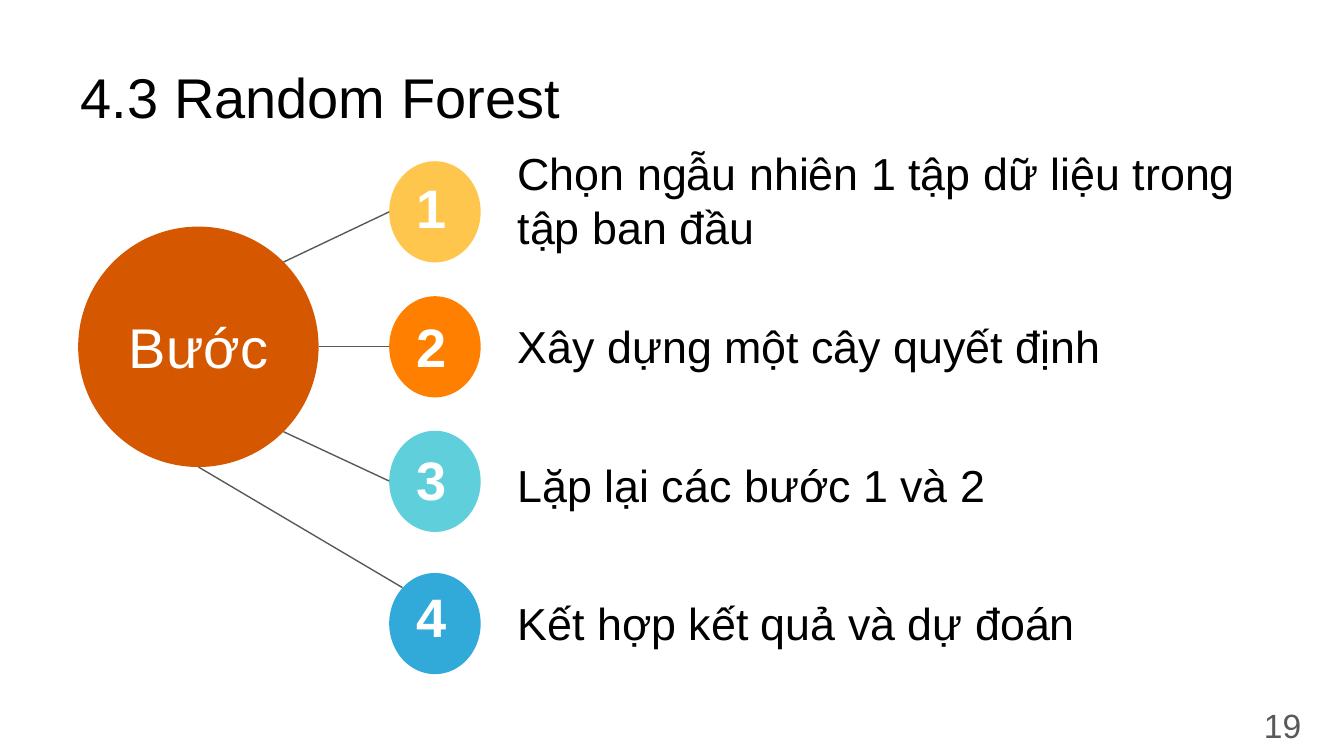
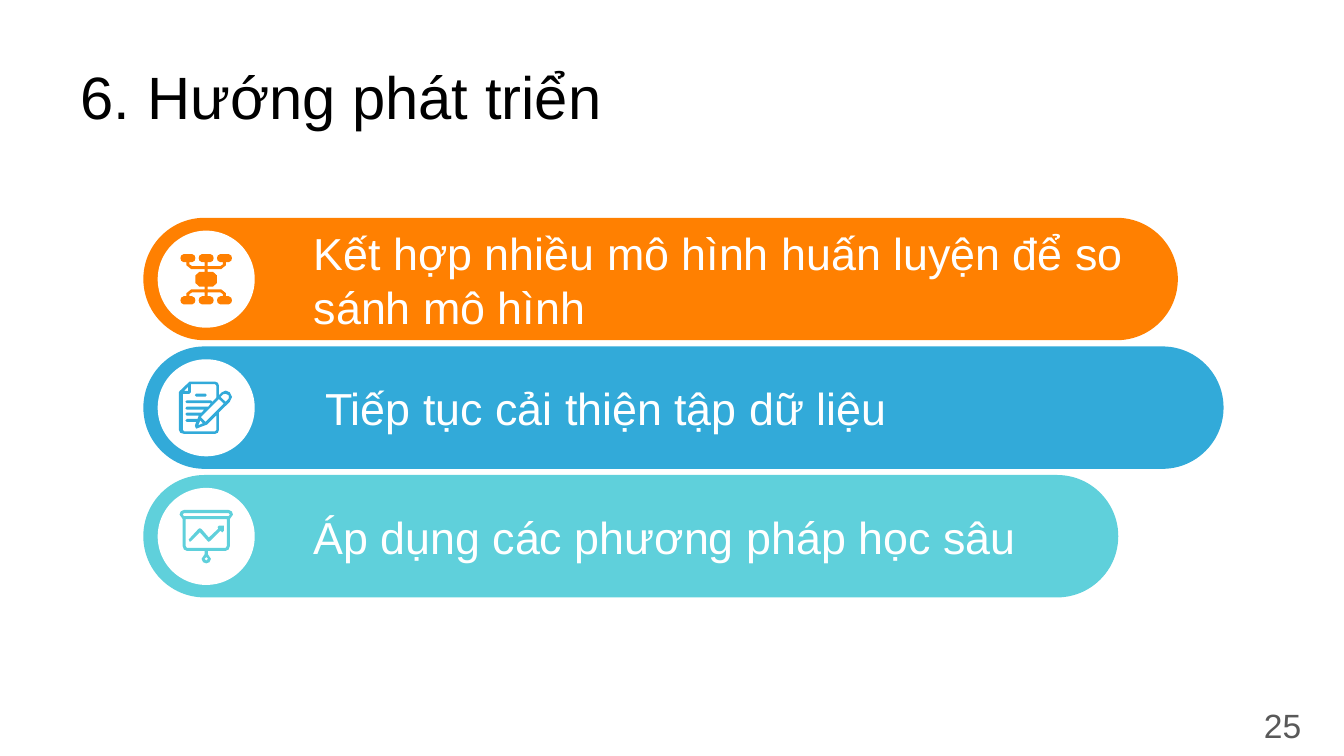
import pptx
import pptx.util
import pptx.dml.color
import pptx.enum.shapes
import pptx.enum.text
import pptx.oxml.ns
import lxml.etree

Pt = pptx.util.Pt
RGB = pptx.dml.color.RGBColor.from_string
KIND = pptx.enum.shapes.MSO_SHAPE
STRAIGHT = pptx.enum.shapes.MSO_CONNECTOR.STRAIGHT
ALIGN = pptx.enum.text.PP_ALIGN
ANCHOR = pptx.enum.text.MSO_ANCHOR

COLORS = {
    "black": "000000",
    "white": "FFFFFF",
    "gray": "595959",
    "rust": "D55800",
    "yellow": "FFC64E",
    "orange": "FF8001",
    "teal": "5FD0DB",
    "blue": "32AAD9",
}


def add_label(page, frame, text, size, color, bold=False,
              align=ALIGN.LEFT, anchor=ANCHOR.MIDDLE):
    box = page.shapes.add_textbox(*map(Pt, frame))
    body = box.text_frame
    body.word_wrap = True
    body.vertical_anchor = anchor
    body.margin_left = body.margin_right = Pt(7.2)
    body.margin_top = body.margin_bottom = Pt(7.2)
    para = body.paragraphs[0]
    para.alignment = align
    span = para.add_run()
    span.text = text
    span.font.name = "Arial"
    span.font.size = Pt(size)
    span.font.bold = bold
    span.font.color.rgb = RGB(COLORS[color])


def paint(shape, color):
    shape.fill.solid()
    shape.fill.fore_color.rgb = RGB(COLORS[color])
    shape.line.fill.background()
    shape.shadow.inherit = False


deck = pptx.Presentation()
deck.slide_width = Pt(720)
deck.slide_height = Pt(405)

# Title and page number on each slide
pages = []
for title, size, top, number in [("4.3 Random Forest", 30, 32.4, "19"),
                                 ("6. Hướng phát triển", 32, 32, "25")]:
    page = deck.slides.add_slide(deck.slide_layouts[6])
    add_label(page, (36.2, top, 648, 38.2), title, size, "black")
    add_label(page, (661, 373, 43.2, 31), number, 18, "gray", align=ALIGN.RIGHT)
    pages.append(page)
steps_page, plans_page = pages

# Steps: numbered ovals with their texts
# color, oval top, number top, text middle, text
steps = [
    ("yellow", 86.4, 86.1, 107, "Chọn ngẫu nhiên 1 tập dữ liệu trong tập ban đầu"),
    ("orange", 158.7, 160.6, 184.9, "Xây dựng một cây quyết định"),
    ("teal", 230.8, 231.8, 259.5, "Lặp lại các bước 1 và 2"),
    ("blue", 307, 305.3, 333.4, "Kết hợp kết quả và dự đoán"),
]
for number, (color, oval_top, number_top, middle, text) in enumerate(steps, 1):
    oval = steps_page.shapes.add_shape(KIND.OVAL, Pt(208.5), Pt(oval_top), Pt(49), Pt(54.2))
    paint(oval, color)
    add_label(steps_page, (215.9, number_top, 34.6, 49.7), str(number), 29, "white",
              bold=True, anchor=ANCHOR.TOP)
    add_label(steps_page, (270.2, middle - 16, 431.3, 32), text, 24, "black")

# Hub circle and its links
hub = steps_page.shapes.add_shape(KIND.OVAL, Pt(41.9), Pt(121.4), Pt(128.8), Pt(128.8))
paint(hub, "rust")
add_label(steps_page, (58.5, 160.2, 95.8, 51), "Bước", 30, "white",
          align=ALIGN.CENTER, anchor=ANCHOR.TOP)
for link in [(151.9, 140.4, 208.5, 113.5), (170.8, 185.6, 208.5, 185.6),
             (151.9, 231.3, 208.5, 257.7), (106.3, 250.2, 215.6, 314.8)]:
    line = steps_page.shapes.add_connector(STRAIGHT, *map(Pt, link))
    line.line.color.rgb = RGB(COLORS["gray"])
    line.line.width = Pt(0.75)
    lxml.etree.SubElement(line.element.spPr, pptx.oxml.ns.qn("a:effectLst"))

# Icons: each outline is a list of contours, measured from the disc's middle
# Network: one quarter, mirrored down and then across
quarter = [
    (2.2, -13.5), (3.6, -12.7), (4, -11.3), (3.6, -9.9), (2.2, -9.1), (0.8, -9.1),
    (0.8, -7), (7.5, -7), (9, -8), (9, -9.1), (7.6, -9.1), (6.2, -9.9), (5.8, -11.3),
    (6.2, -12.7), (7.6, -13.5), (12, -13.5), (13.4, -12.7), (13.8, -11.3),
    (13.4, -9.9), (12, -9.1), (10.6, -9.1), (10.6, -7.5), (8, -5.4), (0.8, -5.4),
    (0.8, -4), (3.6, -4), (5.8, -2),
]
network_half = quarter + [(x, -y) for x, y in reversed(quarter)]

# Screen: right halves of the frame, top bar, board and ring
screen_halves = [
    [(12, -14.2), (13.7, -13.4), (14.3, -11.7), (12.6, -9.3), (12.6, 5.2), (12, 7),
     (10.4, 7.7), (0.9, 7.7), (0.9, 9.6), (2.5, 12), (1.7, 13.8), (0, 14.4)],
    [(12, -12.5), (12.6, -11.7), (12, -10.9)],
    [(11, -9.3), (11, 5.2), (10.4, 6.1)],
    [(0, 11), (1, 12), (0, 13)],
]
network, *screen = [half + [(-x, y) for x, y in reversed(half)]
                    for half in [network_half] + screen_halves]
trend = [
    (6.8, -5.8), (9.4, -5.8), (9.4, -3), (8.6, -2.2), (7.6, -3), (2.2, 2.3), (1.3, 2.9),
    (0.6, 2.3), (-3.4, -2.2), (-8, 2.3), (-8.8, 2.9), (-9.4, 1.6), (-4.2, -4),
    (-3.4, -4.4), (-2.6, -4), (1.4, 0.6), (6.5, -4.2), (6.1, -5),
]

# Note: sheet with pencil, then the holes inside it
note = [
    [(-9, -14), (-14.2, -9), (-14.7, -8.3), (-14.7, 11.9), (-13.9, 13.4), (-11.9, 14),
     (4.7, 14), (6.2, 13.4), (6.8, 11.9), (6.8, 2.5), (12.6, -3.2), (13.8, -5.8),
     (12.6, -8.3), (10.4, -9.2), (8.3, -8.3), (6.8, -6.8), (6.8, -11.9), (6.2, -13.4),
     (4.7, -14)],
    [(-9.7, -11.2), (-9.7, -9), (-11.9, -9)],
    [(10.4, -7.5), (11.9, -6.8), (12.2, -5.8), (11.9, -4.7), (10.4, -3.2), (7.6, -5.8),
     (9, -7.2)],
    [(6.8, -4.7), (9.4, -2.2), (-0.4, 7.6), (-2.9, 5)],
    [(-3.2, 6.8), (-1.8, 8.3), (-4.3, 9.4)],
    [(4.7, -12.6), (5.4, -11.9), (5.4, -5.4), (3.2, -3.2), (2.5, -4), (-10.4, -4),
     (-11.2, -3.2), (-10.4, -2.5), (2.5, -2.5), (1.1, -0.6), (-10.4, -0.6),
     (-11.2, 0.2), (-10.4, 1), (-1.1, 1), (-2.5, 2.6), (-10.4, 2.6), (-11.2, 3.4),
     (-10.4, 4.2), (-4, 4.2), (-4.7, 6), (-10.4, 6), (-11.2, 6.8), (-10.4, 7.6),
     (-5.4, 7.6), (-6.1, 9.7), (-5.4, 11.2), (0.4, 9), (5.4, 4), (5.4, 11.9),
     (4.7, 12.6), (-11.9, 12.6), (-12.6, 11.9), (-12.6, -7.5), (-9, -7.5),
     (-8.3, -8.3), (-8.3, -12.6)],
]
note_line = [(-5.4, -7.6), (-0.4, -7.6), (0.3, -6.8), (-0.4, -6), (-5.4, -6), (-6.1, -6.8)]

# Plans: bars with a disc, an icon and a text
# color, bar width, text left, text width, text, icon outlines
plans = [
    ("orange", 554.2, 161, 460.8, "Kết hợp nhiều mô hình huấn luyện để so sánh mô hình",
     [[network]]),
    ("blue", 578.7, 167.2, 345.6, "Tiếp tục cải thiện tập dữ liệu", [note, [note_line]]),
    ("teal", 522.3, 160.8, 406.8, "Áp dụng các phương pháp học sâu", [screen, [trend]]),
]
for row, (color, width, left, text_width, text, outlines) in enumerate(plans):
    top = 116.7 + 68.9 * row
    center_x, center_y = 110.5, top + 32.9
    bar = plans_page.shapes.add_shape(KIND.ROUNDED_RECTANGLE, Pt(76.8), Pt(top),
                                      Pt(width), Pt(65.6))
    bar.adjustments[0] = 0.5
    paint(bar, color)
    disc = plans_page.shapes.add_shape(KIND.OVAL, Pt(center_x - 26), Pt(center_y - 26),
                                       Pt(52), Pt(52))
    paint(disc, "white")
    add_label(plans_page, (left, center_y - 24.5, text_width, 49), text, 24, "white")

    for contours in outlines:
        builder = None
        for contour in contours:
            points = [(Pt(center_x + x), Pt(center_y + y)) for x, y in contour]
            if builder is None:
                builder = plans_page.shapes.build_freeform(*points[0])
            else:
                builder.move_to(*points[0])
            builder.add_line_segments(points[1:], close=True)
        paint(builder.convert_to_shape(), color)

deck.save("out.pptx")
